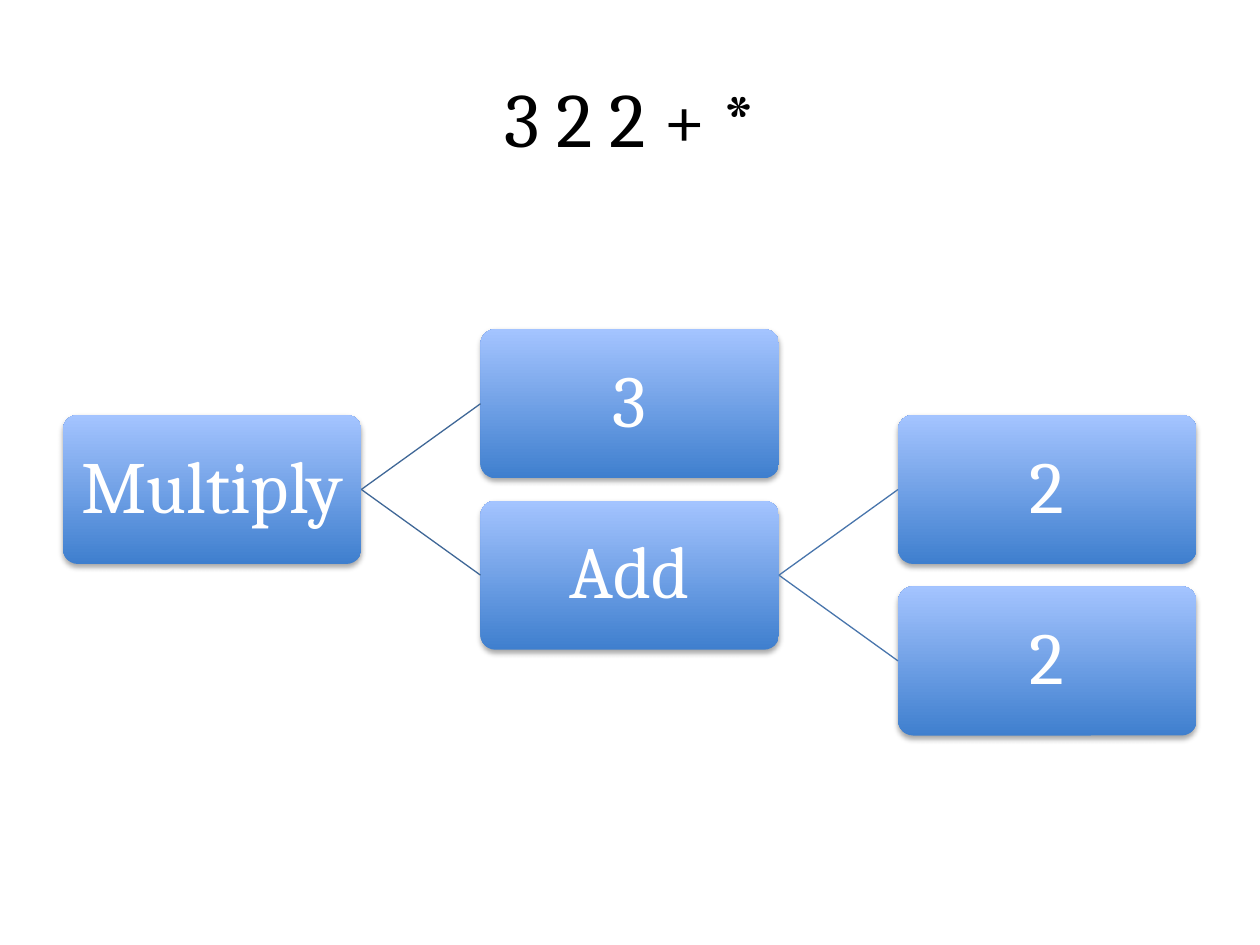
from lxml import etree
from pptx import Presentation
from pptx.dml.color import RGBColor
from pptx.enum.shapes import MSO_CONNECTOR, MSO_SHAPE
from pptx.enum.text import MSO_ANCHOR, PP_ALIGN
from pptx.oxml.ns import qn
from pptx.util import Pt

STRAIGHT = MSO_CONNECTOR.STRAIGHT
ROUNDED = MSO_SHAPE.ROUNDED_RECTANGLE
MIDDLE = MSO_ANCHOR.MIDDLE
CENTER = PP_ALIGN.CENTER
LEFT_SIDE, RIGHT_SIDE = 1, 3

TITLE = "3 2 2 + *"
NODES = {
    "product": ("Multiply", 0, 1),
    "factor": ("3", 1, 0),
    "sum": ("Add", 1, 2),
    "first addend": ("2", 2, 1),
    "second addend": ("2", 2, 3),
}
BRANCHES = [
    ("product", "factor", "upper branch"),
    ("product", "sum", "upper branch"),
    ("sum", "first addend", "lower branch"),
    ("sum", "second addend", "lower branch"),
]
COLORS = {
    "title": "000000",
    "node text": "FFFFFF",
    "node bottom": "3F7FCE",
    "node top": "A4C4FF",
    "shadow": "000000",
    "upper branch": "3F6797",
    "lower branch": "4875AC",
}
FONT = "Cambria"
LEFT, TOP = 36, 188.1
WIDTH, HEIGHT = 170.5, 85.2
COLUMN_STEP, ROW_STEP = 238.6, 49


def color(name):
    return RGBColor.from_string(COLORS[name])


def write(shape, text, size, color_name):
    frame = shape.text_frame
    frame.word_wrap = True
    frame.vertical_anchor = MIDDLE
    para = frame.paragraphs[0]
    para.text = text
    para.alignment = CENTER
    para.font.name = FONT
    para.font.size = Pt(size)
    para.font.color.rgb = color(color_name)
    return frame


def add_shadow(shape):
    shape.shadow.inherit = False
    effects = shape._element.spPr.find(qn("a:effectLst"))
    shadow = etree.SubElement(
        effects, qn("a:outerShdw"), blurRad=str(Pt(3.1)), dist=str(Pt(1.8)),
        dir="5400000", rotWithShape="0")
    tint = etree.SubElement(shadow, qn("a:srgbClr"), val=COLORS["shadow"])
    etree.SubElement(tint, qn("a:alpha"), val="35000")


def add_node(slide, text, column, row):
    box = slide.shapes.add_shape(
        ROUNDED, Pt(LEFT + column * COLUMN_STEP), Pt(TOP + row * ROW_STEP),
        Pt(WIDTH), Pt(HEIGHT))
    box.adjustments[0] = 0.1
    box.fill.gradient()
    box.fill.gradient_angle = 90
    for stop, name in zip(box.fill.gradient_stops, ("node bottom", "node top")):
        stop.color.rgb = color(name)
    box.line.fill.background()
    add_shadow(box)
    frame = write(box, text, 42, "node text")
    frame.margin_left = frame.margin_right = Pt(2.4)
    frame.margin_top = frame.margin_bottom = Pt(2.4)
    frame.paragraphs[0].line_spacing = 0.9
    return box


def add_branch(slide, parent, child, color_name):
    branch = slide.shapes.add_connector(STRAIGHT, 0, 0, 0, 0)
    branch.begin_connect(parent, RIGHT_SIDE)
    branch.end_connect(child, LEFT_SIDE)
    branch.line.color.rgb = color(color_name)
    branch.line.width = Pt(0.75)
    etree.SubElement(branch._element.spPr, qn("a:effectLst"))


def main():
    deck = Presentation()
    deck.slide_width, deck.slide_height = Pt(720), Pt(540)
    slide = deck.slides.add_slide(deck.slide_layouts[5])
    title = slide.shapes.title
    title.left, title.top = Pt(36), Pt(21.6)
    title.width, title.height = Pt(648), Pt(90)
    write(title, TITLE, 44, "title")

    boxes = {name: add_node(slide, *node) for name, node in NODES.items()}
    for parent, child, color_name in BRANCHES:
        add_branch(slide, boxes[parent], boxes[child], color_name)
    deck.save("out.pptx")


if __name__ == "__main__":
    main()
